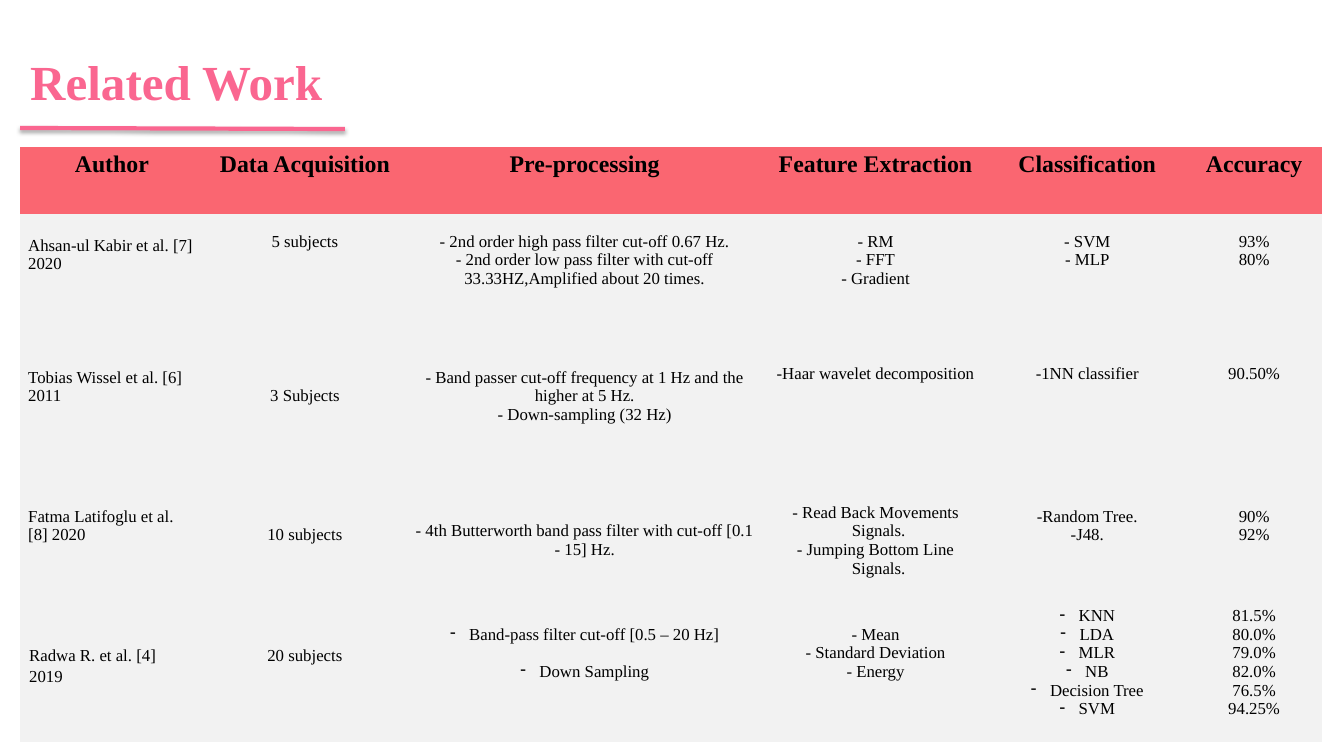
from dataclasses import dataclass

from lxml.etree import SubElement
from pptx import Presentation
from pptx.dml.color import RGBColor
from pptx.enum.shapes import MSO_CONNECTOR as Connector
from pptx.enum.text import MSO_ANCHOR as Anchor, MSO_AUTO_SIZE as AutoSize, PP_ALIGN as Align
from pptx.oxml.ns import qn
from pptx.util import Inches, Pt


@dataclass(frozen=True)
class Theme:
    font: str = "Times New Roman"
    title_color: str = "FA6690"
    header_fill: str = "FA6671"
    body_fill: str = "F2F2F2"
    text_color: str = "000000"
    title_size: float = 35
    header_size: float = 17
    body_size: float = 12
    line_height: float = 0.184  # inches, one body line


# Side and top margins of table cells
TIGHT, MEDIUM, WIDE = (0.06, 0), (0.08, 0.04), (0.09, 0.04)


@dataclass
class Entry:
    """Table text that starts a number of body lines below the cell's top."""
    lines: list
    skip: int = 1
    margins: tuple = TIGHT
    align: Align = Align.CENTER
    indent: float = 0
    bullet: bool = False
    spacing: float = 1.0
    gap: float = 0


def author(*lines, **options):
    return Entry(list(lines), align=Align.LEFT, **{"margins": MEDIUM, **options})


HEADERS = ["Author", "Data Acquisition", "Pre-processing",
           "Feature Extraction", "Classification", "Accuracy"]
COLUMN_WIDTHS = [1.82, 2.01, 3.54, 2.23, 1.97, 1.34]
ROW_HEIGHTS = [0.66, 1.31, 1.38, 1.17, 1.38]

STUDIES = [
    [author("Ahsan-ul Kabir et al. [7]", "2020"),
     Entry(["5 subjects"]),
     Entry(["- 2nd order high pass filter cut-off 0.67 Hz.",
            "- 2nd order low pass filter with cut-off 33.33HZ,Amplified about 20 times."]),
     Entry(["- RM", "- FFT", "- Gradient"]),
     Entry(["- SVM", "- MLP"]),
     Entry(["93%", "80%"])],
    [author("Tobias Wissel et al. [6]", "2011"),
     Entry(["3 Subjects"], 2, MEDIUM),
     Entry(["- Band passer cut-off frequency at 1 Hz and the higher at 5 Hz.",
            "- Down-sampling (32 Hz)"], 1, MEDIUM),
     Entry(["-Haar wavelet decomposition"]),
     Entry(["-1NN classifier"]),
     Entry(["90.50%"])],
    [author("Fatma Latifoglu et al.", "[8] 2020"),
     Entry(["10 subjects"], 2, MEDIUM),
     Entry(["- 4th Butterworth band pass filter with cut-off [0.1 - 15] Hz."], 2),
     Entry(["- Read Back Movements Signals.", "- Jumping Bottom Line Signals."], indent=0.06),
     Entry(["-Random Tree.", "-J48."], 1, MEDIUM, indent=0.06),
     Entry(["90%", "92%"], 1, MEDIUM)],
    [author("Radwa R. et al. [4]", "2019", skip=2, margins=WIDE, spacing=1.15),
     Entry(["20 subjects"], 2, WIDE, spacing=1.15),
     Entry(["Band-pass filter cut-off [0.5 – 20 Hz]", "Down Sampling"], 1, WIDE,
           indent=0.19, bullet=True, gap=13.2),
     Entry(["- Mean", "- Standard Deviation", "- Energy"], 1, WIDE),
     Entry(["KNN", "LDA", "MLR", "NB", "Decision Tree", "SVM"], 0, WIDE,
           indent=0.19, bullet=True),
     Entry(["81.5%", "80.0%", "79.0%", "82.0%", "76.5%", "94.25%"], 0, WIDE)],
]


def apply(target, values):
    for name, value in values.items():
        setattr(target, name, value)


class SlideBuilder:
    def __init__(self, page, theme):
        self.page, self.theme = page, theme

    def add_text(self, para, text, size, color, bold=False):
        span = para.add_run()
        span.text = text
        apply(span.font, {"name": self.theme.font, "size": Pt(size), "bold": bold})
        span.font.color.rgb = RGBColor.from_string(color)

    def title(self, text, left, top, width, height):
        box = self.page.shapes.title
        apply(box, {"left": Inches(left), "top": Inches(top),
                    "width": Inches(width), "height": Inches(height)})
        apply(box.text_frame, {"auto_size": AutoSize.NONE, "word_wrap": True,
                               "vertical_anchor": Anchor.MIDDLE})
        para = box.text_frame.paragraphs[0]
        para.alignment = Align.LEFT
        self.add_text(para, text, self.theme.title_size, self.theme.title_color, True)

    def underline(self, start, end, weight):
        rule = self.page.shapes.add_connector(
            Connector.STRAIGHT, *(Inches(value) for value in start + end))
        rule.line.width = Pt(weight)
        rule.line.color.rgb = RGBColor.from_string(self.theme.title_color)
        # Soft shadow straight below
        effects = SubElement(rule.element.spPr, qn("a:effectLst"))
        shadow = SubElement(effects, qn("a:outerShdw"), blurRad=str(Pt(3.1)),
                            dist=str(Pt(1.8)), dir="5400000", rotWithShape="0")
        tint = SubElement(shadow, qn("a:srgbClr"), val=self.theme.text_color)
        SubElement(tint, qn("a:alpha"), val="35000")

    def fill_cell(self, cell, entry, fill, size, bold=False):
        side, inset = entry.margins
        top = inset + entry.skip * self.theme.line_height
        apply(cell, {"margin_left": Inches(side), "margin_right": Inches(side),
                     "margin_top": Inches(top), "margin_bottom": Inches(inset),
                     "vertical_anchor": Anchor.TOP})
        cell.fill.solid()
        cell.fill.fore_color.rgb = RGBColor.from_string(fill)
        frame = cell.text_frame
        for index, line in enumerate(entry.lines):
            para = frame.add_paragraph() if index else frame.paragraphs[0]
            apply(para, {"alignment": entry.align, "line_spacing": entry.spacing})
            if index and entry.gap:
                para.space_before = Pt(entry.gap)
            if entry.indent:
                indent = Inches(entry.indent)
                properties = para._p.get_or_add_pPr()
                properties.set("marL", str(indent))
                properties.set("indent", str(-indent))
                if entry.bullet:
                    SubElement(properties, qn("a:buChar"), char="-")
            self.add_text(para, line, size, self.theme.text_color, bold)

    def table(self, left, top, headers, rows, widths, heights):
        frame = self.page.shapes.add_table(
            len(heights), len(widths), Inches(left), Inches(top),
            Inches(sum(widths)), Inches(sum(heights)))
        # Plain style without grid lines
        style = frame.element.xpath(".//a:tableStyleId")[0]
        style.text = "{2D5ABB26-0587-4C30-8999-92F81FD0307C}"
        grid = frame.table
        grid.horz_banding = False
        for column, width in zip(grid.columns, widths):
            column.width = Inches(width)
        for row, height in zip(grid.rows, heights):
            row.height = Inches(height)
        theme = self.theme
        for column, text in enumerate(headers):
            self.fill_cell(grid.cell(0, column), Entry([text], 0, WIDE),
                           theme.header_fill, theme.header_size, True)
        for row, entries in enumerate(rows, 1):
            for column, entry in enumerate(entries):
                self.fill_cell(grid.cell(row, column), entry, theme.body_fill, theme.body_size)


def main():
    deck = Presentation()
    apply(deck, {"slide_width": Inches(13.33), "slide_height": Inches(7.5)})
    page = deck.slides.add_slide(deck.slide_layouts.get_by_name("Title Only"))
    builder = SlideBuilder(page, Theme())

    # Heading
    builder.title("Related Work", 0.2, 0.45, 8.31, 0.7)

    # Comparison of studies
    builder.table(0.2, 1.46, HEADERS, STUDIES, COLUMN_WIDTHS, ROW_HEIGHTS)

    # Rule under the heading
    builder.underline((0.2, 1.27), (3.42, 1.28), 3)

    deck.save("out.pptx")


if __name__ == "__main__":
    main()
